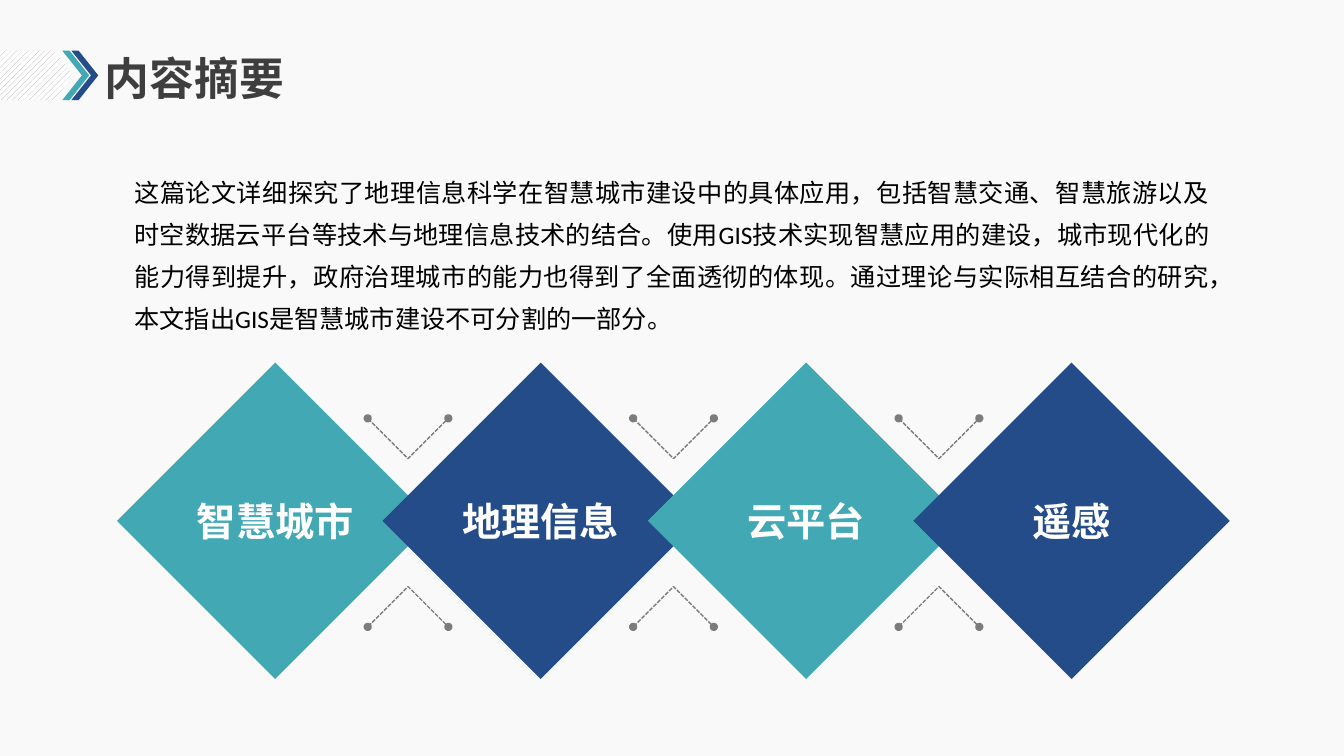
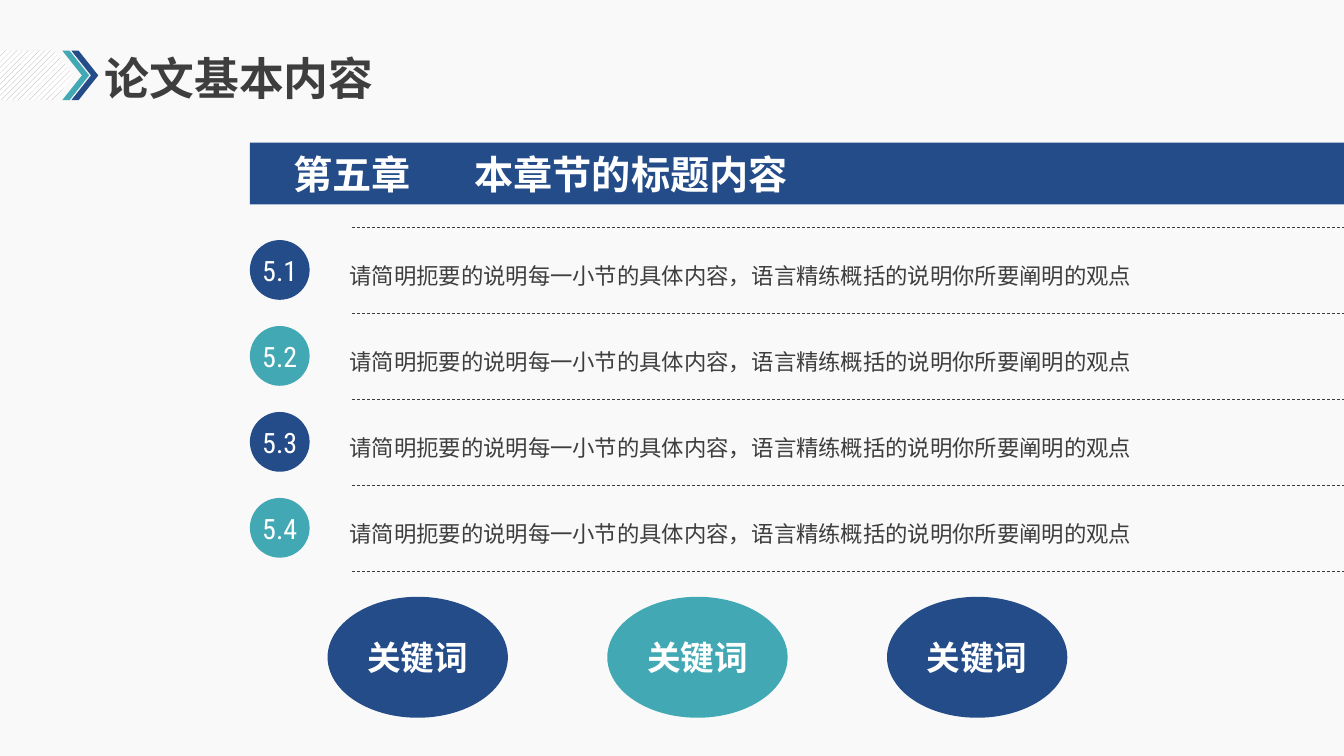
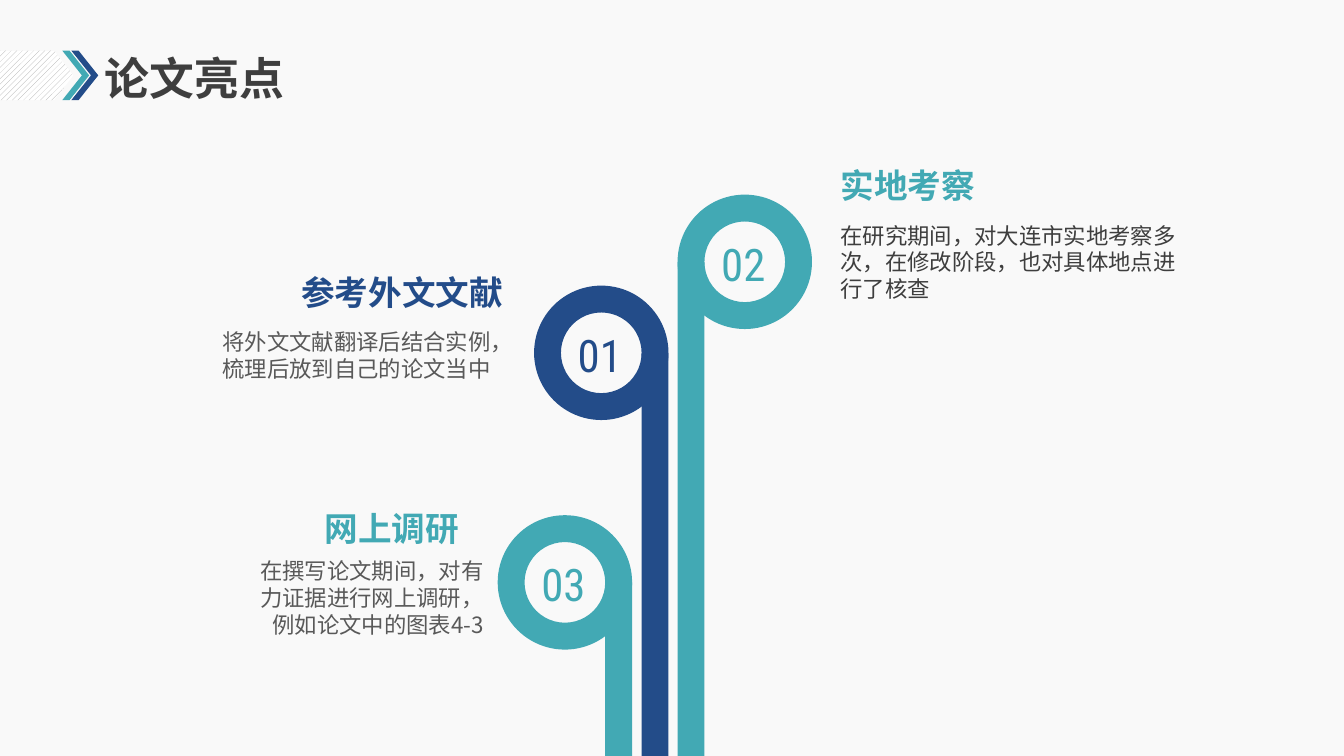
"""Build three thesis slides: summary, chapter outline and highlights."""
from dataclasses import dataclass

from pptx import Presentation
from pptx.dml.color import RGBColor
from pptx.enum import dml, shapes, text
from pptx.oxml.ns import qn
from pptx.util import Pt

LEFT, CENTER, RIGHT, JUSTIFY = (
    text.PP_ALIGN.LEFT, text.PP_ALIGN.CENTER, text.PP_ALIGN.RIGHT, text.PP_ALIGN.JUSTIFY)
TOP, MIDDLE = text.MSO_ANCHOR.TOP, text.MSO_ANCHOR.MIDDLE
KIND = shapes.MSO_SHAPE


@dataclass(frozen=True)
class Theme:
    """Colours, fonts, type sizes and page size of the deck."""
    paper: str = "F9F9F9"
    white: str = "FFFFFF"
    black: str = "000000"
    teal: str = "42A9B4"
    navy: str = "234C89"
    ink: str = "3E3E3E"
    soft: str = "595959"
    mark: str = "7C7C7C"
    hatch: str = "A6A6A6"
    cjk: str = "Noto Sans CJK SC"
    latin: str = "Calibri"
    display: str = "Karla"
    digits: str = "Roboto Condensed"
    title: int = 32
    label: int = 28
    heading: int = 24
    number: int = 20
    body: int = 18
    note: int = 16
    width: int = 960
    height: int = 540


T = Theme()


@dataclass(frozen=True)
class Style:
    """Look of one paragraph."""
    size: int
    color: str
    font: str = T.cjk
    bold: bool = False
    align: int = LEFT
    spacing: object = None


def rgb(value):
    """Turn a hex string into a colour."""
    return RGBColor.from_string(value)


def write(tf, content, style, anchor=TOP, inset=(0, 0, 0, 0)):
    """Fill a text frame with one paragraph, given as a string or (text, font) pairs."""
    tf.margin_left, tf.margin_top, tf.margin_right, tf.margin_bottom = map(Pt, inset)
    tf.vertical_anchor = anchor
    p = tf.paragraphs[0]
    p.alignment = style.align
    if style.spacing:
        p.line_spacing = style.spacing
    f = p.font
    f.size, f.bold, f.name = Pt(style.size), style.bold, style.font
    f.color.rgb = rgb(style.color)
    ea = p._p.pPr.find(qn("a:defRPr")).makeelement(qn("a:ea"), {"typeface": T.cjk})
    p._p.pPr.find(qn("a:defRPr")).find(qn("a:latin")).addnext(ea)
    for words, font in [(content, None)] if isinstance(content, str) else content:
        r = p.add_run()
        r.text = words
        if font:
            r.font.name = font


def add_text(s, box, content, style, wrap=True, grow=True, **frame):
    """Add a text box."""
    tf = s.shapes.add_textbox(*map(Pt, box)).text_frame
    tf.word_wrap = wrap
    if grow:
        tf.auto_size = text.MSO_AUTO_SIZE.SHAPE_TO_FIT_TEXT
    write(tf, content, style, **frame)


def add_block(s, kind, box, color, adjust=None):
    """Add a preset shape with a flat fill and no outline."""
    sp = s.shapes.add_shape(kind, *map(Pt, box))
    sp.shadow.inherit = False
    sp.fill.solid()
    sp.fill.fore_color.rgb = rgb(color)
    sp.line.fill.background()
    if adjust is not None:
        sp.adjustments[0] = adjust
    return sp


def add_label(s, kind, box, color, content, style):
    """Add a filled shape with a centred, unwrapped label."""
    sp = add_block(s, kind, box, color)
    sp.text_frame.word_wrap = False
    write(sp.text_frame, content, style, MIDDLE)


def add_rule(s, x, y):
    """Add a dashed rule from x to the right edge."""
    ln = s.shapes.add_connector(shapes.MSO_CONNECTOR.STRAIGHT, Pt(x), Pt(y), Pt(T.width), Pt(y))
    ln.line.color.rgb = rgb(T.ink)
    ln.line.width = Pt(0.5)
    ln.line.dash_style = dml.MSO_LINE.DASH
    sp_pr = ln._element.spPr
    sp_pr.append(sp_pr.makeelement(qn("a:effectLst"), {}))


def add_angle(s, x, end_y, tip_y, reach):
    """Add a dashed angle with a dot at each end."""
    fb = s.shapes.build_freeform(Pt(x + reach), Pt(end_y))
    fb.add_line_segments([(Pt(x), Pt(tip_y)), (Pt(x - reach), Pt(end_y))], close=False)
    sp = fb.convert_to_shape()
    sp.shadow.inherit = False
    sp.fill.background()
    sp.line.color.rgb = rgb(T.mark)
    sp.line.width = Pt(1)
    sp.line.dash_style = dml.MSO_LINE.SQUARE_DOT
    ln = sp.line._get_or_add_ln()
    for end in ("a:headEnd", "a:tailEnd"):
        ln.append(ln.makeelement(qn(end), {"type": "oval"}))


def add_stem(s, left, top, side, color, number):
    """Add a numbered ring on a stem that runs to the bottom edge."""
    ring, band = 96, 19.2
    x = left if side == LEFT else left + ring - band
    middle = top + ring / 2
    add_block(s, KIND.RECTANGLE, (x, middle, band, T.height - middle), color)
    add_block(s, KIND.DONUT, (left, top, ring, ring), color, band / ring)
    w, h = 42, 59
    box = (left + (ring - w) / 2 - 1, top + (ring - h) / 2 + 1, w, h)
    add_text(s, box, number, Style(T.title, color, T.digits, align=CENTER),
             grow=False, anchor=MIDDLE)


def add_slide(prs, title):
    """Add a slide with the shared title band."""
    s = prs.slides.add_slide(prs.slide_layouts[6])
    top, height = 36.2, 35.3
    band = add_block(s, KIND.PENTAGON, (0, top, 52.5, height), T.white, 0.39)
    band.fill.patterned()
    band.fill.pattern = dml.MSO_PATTERN.WIDE_UPWARD_DIAGONAL
    band.fill.fore_color.rgb = rgb(T.hatch)
    band.fill.back_color.rgb = rgb(T.white)
    for x, color in ((44.5, T.teal), (51, T.navy)):
        add_block(s, KIND.CHEVRON, (x, top, 19.2, height), color, 0.73)
    add_text(s, (67.7, 39.6, 356, 36), title,
             Style(T.title, T.ink, T.display, True, spacing=0.9),
             grow=False, anchor=MIDDLE, inset=(7.2, 3.6, 7.2, 3.6))
    return s


def summary(prs):
    """Build the summary with four overlapping diamonds."""
    s = add_slide(prs, "内容摘要")
    add_text(s, (96, 118, 768, 118),
             "这篇论文详细探究了地理信息科学在智慧城市建设中的具体应用，包括智慧交通、智慧旅游以及"
             "时空数据云平台等技术与地理信息技术的结合。使用GIS技术实现智慧应用的建设，城市现代化"
             "的能力得到提升，政府治理城市的能力也得到了全面透彻的体现。通过理论与实际相互结合的研"
             "究，本文指出GIS是智慧城市建设不可分割的一部分。",
             Style(T.body, T.black, T.latin, align=JUSTIFY, spacing=Pt(30)))
    side, pitch = 226, 189.6
    label = Style(T.label, T.white, bold=True, align=CENTER)
    for i, words in enumerate(("智慧城市", "地理信息", "云平台", "遥感")):
        add_label(s, KIND.DIAMOND, (83.6 + i * pitch, 259, side, side),
                  (T.teal, T.navy)[i % 2], words, label)
    for end_y, tip_y in ((298.8, 327.6), (447.8, 419)):
        for i in range(3):
            add_angle(s, 291.5 + i * pitch, end_y, tip_y, 28.8)


def outline(prs):
    """Build the chapter outline with its sections and keywords."""
    s = add_slide(prs, "论文基本内容")
    left, top, height = 178.5, 102, 44
    chapter = Style(T.label, T.white, bold=True)
    bar = add_block(s, KIND.RECTANGLE, (left, top, T.width - left, height), T.navy)
    write(bar.text_frame, "第五章", chapter, MIDDLE, (31, 0, 0, 0))
    add_text(s, (339, top, 330, height), "本章节的标题内容", chapter, grow=False, anchor=MIDDLE)

    first, pitch, dot = 162.5, 61.4, 42.7
    section = [("请简明扼要的说明每一小节的具体内容，", T.cjk),
               ("语言精练概括的说明你所要阐明的观点", T.latin)]
    add_rule(s, 251.3, first)
    for i in range(4):
        y = first + i * pitch
        add_text(s, (242.6, y + 18.2, 587.5, 28), section,
                 Style(T.note, T.ink, spacing=Pt(22)), inset=(7.2, 3.6, 7.2, 3.6))
        add_rule(s, 251.3, y + pitch)
        add_label(s, KIND.OVAL, (left, y + 9, dot, dot), (T.navy, T.teal)[i % 2],
                  f"5.{i + 1}", Style(T.number, T.white, T.digits, align=CENTER))
    for i in range(3):
        add_label(s, KIND.OVAL, (234 + i * 199.8, 426.3, 128.8, 86.4),
                  (T.navy, T.teal)[i % 2], "关键词",
                  Style(T.heading, T.white, bold=True, align=CENTER))


def highlights(prs):
    """Build the highlights with three ringed stems."""
    s = add_slide(prs, "论文亮点")
    add_stem(s, 355.5, 368, RIGHT, T.teal, "03")
    add_stem(s, 381.5, 204, RIGHT, T.navy, "01")
    add_stem(s, 484, 139, LEFT, T.teal, "02")
    notes = (
        ((214.5, 194.5, 145.5, 29), "参考外文文献", T.navy, CENTER,
         (159, 234.7, 200, 39), "将外文文献翻译后结合实例，梳理后放到自己的论文当中", T.soft, LEFT),
        ((600.5, 118, 97, 29), "实地考察", T.teal, LEFT,
         (600.5, 158.4, 242.6, 58), "在研究期间，对大连市实地考察多次，在修改阶段，也对具体地点进行了核查",
         T.ink, LEFT),
        ((231, 363, 97, 29), "网上调研", T.teal, RIGHT,
         (172, 398.2, 173.5, 58), "在撰写论文期间，对有力证据进行网上调研，例如论文中的图表4-3",
         T.soft, RIGHT),
    )
    for head_box, head, color, head_align, note_box, note, tone, note_align in notes:
        add_text(s, head_box, head, Style(T.heading, color, bold=True, align=head_align),
                 wrap=False)
        add_text(s, note_box, note, Style(T.note, tone, align=note_align))


def main():
    """Build and save the deck."""
    prs = Presentation()
    prs.slide_width, prs.slide_height = Pt(T.width), Pt(T.height)
    fill = prs.slide_master.background.fill
    fill.solid()
    fill.fore_color.rgb = rgb(T.paper)
    for build in (summary, outline, highlights):
        build(prs)
    prs.save("out.pptx")


if __name__ == "__main__":
    main()
